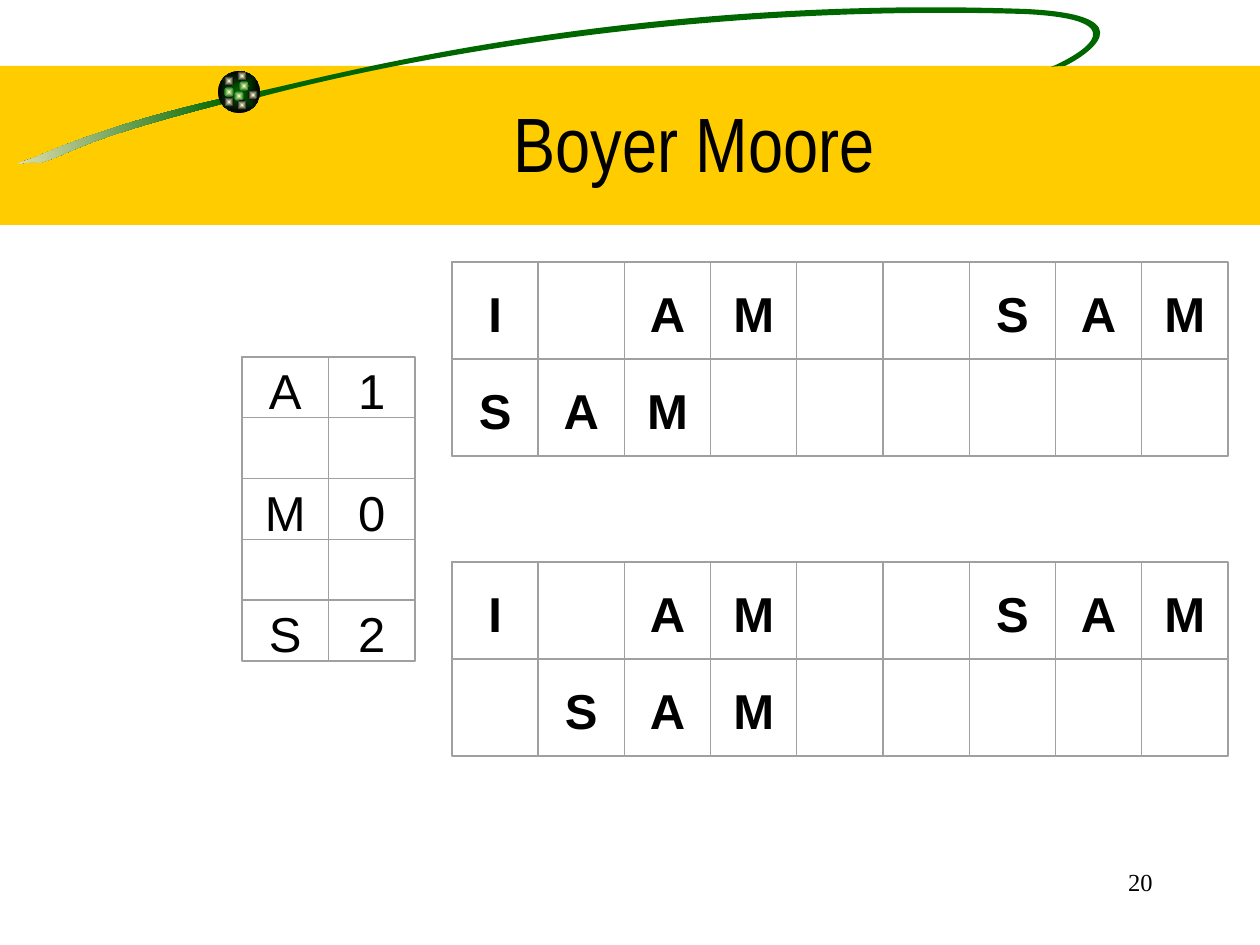
from math import cos, radians, sin

from lxml import etree
from pptx import Presentation
from pptx.dml.color import RGBColor
from pptx.enum.shapes import MSO_SHAPE
from pptx.enum.text import MSO_ANCHOR, PP_ALIGN
from pptx.oxml import parse_xml
from pptx.oxml.ns import nsdecls, qn
from pptx.util import Pt

RECT, OVAL = MSO_SHAPE.RECTANGLE, MSO_SHAPE.OVAL
MIDDLE = MSO_ANCHOR.MIDDLE
CENTER, RIGHT = PP_ALIGN.CENTER, PP_ALIGN.RIGHT
SCALE = 9144000 / 1260
TILT = 351.5

COLORS = {
    "band": "FFCC00",
    "green": "006600",
    "cream": "F5EBC1",
    "glow": "FFFFCC",
    "black": "000000",
    "grid": "A0A0A0",
}

TAIL = [(224, 98), (115, 123), (62, 146), (31, 159), (1, 169), (33, 159),
        (39, 163), (72, 154), (72, 142), (226, 103)]
LOOP = [(255, 92), (310, 82), (612, -6), (1026, 9), (1155, 15), (1080, 59),
        (1065, 66), (1065, 66), (1056, 66), (1051, 67), (1063, 62),
        (1154, 20), (1024, 14), (690, 4), (403, 59), (260, 97)]
BEADS = [(21, 10, "green"), (6, 5, "black"), (6, 16, "green"),
         (16, 20, "green"), (30, 19, "black"), (19, 29, "black"),
         (6, 26, "black"), (19, 0, "black")]

SHIFTS = ["A1", "  ", "M0", "  ", "S2"]
TEXT = "I AM  SAM"
TRIES = [(262, "SAM      "), (562, " SAM     ")]


def px(n):
    return round(n * SCALE)


def rgb(name):
    return RGBColor.from_string(COLORS[name])


def style(para, size, face, align, bold=False):
    para.alignment = align
    for run in para.runs:
        run.font.size = Pt(size)
        run.font.name = face
        run.font.bold = bold
        run.font.color.rgb = rgb("black")


def blend(shape, start, end):
    shape.fill.gradient()
    for stop, name in zip(shape.fill.gradient_stops, (start, end)):
        stop.color.rgb = rgb(name)


def plain(shape):
    shape.shadow.inherit = False
    shape.line.fill.background()


def curve(group, knots, x, y, w, h):
    mx, my = x + w / 2, y + h / 2
    c, s = cos(radians(-TILT)), sin(radians(-TILT))
    spots = [(px((a - mx) * c - (b - my) * s + w / 2),
              px((a - mx) * s + (b - my) * c + h / 2)) for a, b in knots]
    pen = group.shapes.build_freeform(*spots[0], scale=1.0)
    pen.add_line_segments(spots[1:])
    shape = pen.convert_to_shape()
    shape.left, shape.top, shape.width, shape.height = map(px, (x, y, w, h))
    shape.rotation = TILT
    plain(shape)
    route = next(shape.element.iter(qn("a:path")))
    route.set("w", str(px(w)))
    route.set("h", str(px(h)))
    for step in list(route):
        route.remove(step)
    steps = [("moveTo", spots[:1])]
    steps += [("cubicBezTo", spots[i:i + 3]) for i in range(1, len(spots), 3)]
    for tag, points in steps + [("close", [])]:
        step = etree.SubElement(route, qn(f"a:{tag}"))
        for a, b in points:
            etree.SubElement(step, qn("a:pt"), x=str(a), y=str(b))
    return shape


def ball(group, x, y, size, start, end):
    shape = group.shapes.add_shape(OVAL, px(x), px(y), px(size), px(size))
    plain(shape)
    blend(shape, start, end)
    lin = shape.element.spPr.find(qn("a:gradFill")).find(qn("a:lin"))
    glow = parse_xml(
        f'<a:path {nsdecls("a")} path="rect">'
        '<a:fillToRect l="50000" t="50000" r="50000" b="50000"/></a:path>')
    lin.getparent().replace(lin, glow)


def orb(group, x, y, size):
    ball(group, x, y, size, "green", "black")
    for dx, dy, edge in BEADS:
        ball(group, x + dx, y + dy, 10, "glow", edge)


def banner(slide, x, y, w, h):
    group = slide.shapes.add_group_shape()
    band = group.shapes.add_shape(RECT, px(x), px(y), px(w), px(h))
    plain(band)
    band.fill.solid()
    band.fill.fore_color.rgb = rgb("band")
    tail = curve(group, TAIL, x - 4, y + 49, 232, 38)
    blend(tail, "green", "cream")
    tail.fill.gradient_angle = 180
    loop = curve(group, LOOP, x + 253, y - 85, 902, 137)
    loop.fill.solid()
    loop.fill.fore_color.rgb = rgb("green")
    orb(group, x + 218, y + 5, 42)


def heading(slide, x, y, w, h):
    title = slide.shapes.title
    title.left, title.top, title.width, title.height = map(px, (x, y, w, h))
    title.element.getparent().append(title.element)
    title.text_frame.text = "Boyer Moore"
    title.text_frame.vertical_anchor = MIDDLE
    style(title.text_frame.paragraphs[0], 44, "Arial Narrow", CENTER)


def outline(group, x, y, w, h, width):
    box = group.shapes.add_shape(RECT, px(x), px(y), px(w), px(h))
    box.shadow.inherit = False
    box.fill.background()
    box.line.color.rgb = rgb("grid")
    box.line.width = Pt(width)
    return box


def grid(slide, x, y, w, h, rows, bold):
    group = slide.shapes.add_group_shape()
    wide, high = w / len(rows[0]), h / len(rows)
    for i, row in enumerate(rows):
        for j, mark in enumerate(row):
            cell = outline(group, x + j * wide, y + i * high, wide, high, 0)
            if mark != " ":
                frame = cell.text_frame
                frame.margin_top, frame.margin_bottom = px(5), 0
                frame.vertical_anchor = MIDDLE
                frame.text = mark
                style(frame.paragraphs[0], 28, "Arial", CENTER, bold)
    outline(group, x, y, w, h, 0.62)


def number(slide, x, y, w, h):
    frame = slide.shapes.add_textbox(px(x), px(y), px(w), px(h)).text_frame
    frame.word_wrap = True
    frame.text = "20"
    style(frame.paragraphs[0], 14, "Times New Roman", RIGHT)


def main():
    deck = Presentation()
    deck.slide_width, deck.slide_height = px(1260), px(945)
    slide = deck.slides.add_slide(deck.slide_layouts[5])
    banner(slide, 0, 66, 1260, 159)
    grid(slide, 242, 357, 173, 304, SHIFTS, False)
    for top, word in TRIES:
        grid(slide, 452, top, 776, 194, [TEXT, word], True)
    heading(slide, 159, 63, 1071, 158)
    number(slide, 903, 861, 262, 63)
    deck.save("out.pptx")


if __name__ == "__main__":
    main()
